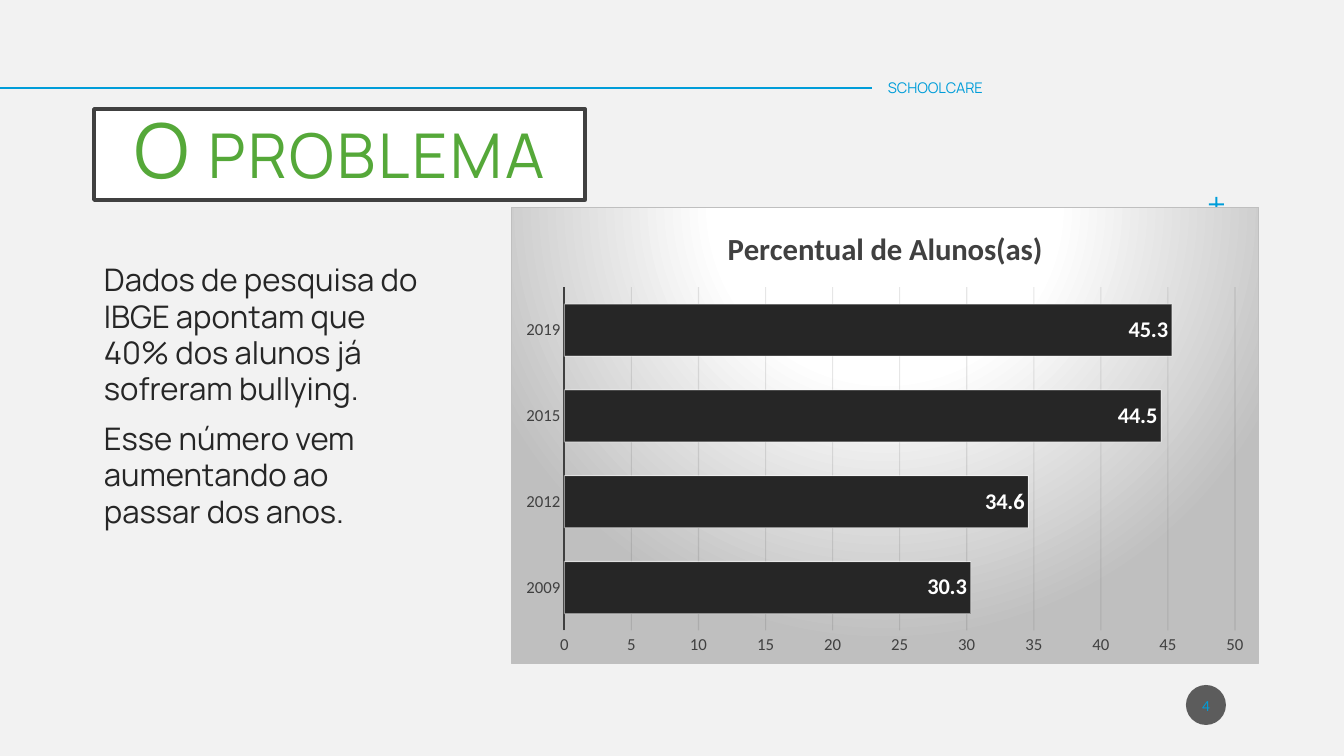
import pptx
import pptx.chart.data
import pptx.dml.color
import pptx.enum.chart
import pptx.enum.shapes
import pptx.enum.text
import pptx.oxml
import pptx.oxml.ns
import pptx.util
from dataclasses import dataclass


@dataclass(frozen=True)
class Theme:
    paper: str = "F2F2F2"
    white: str = "FFFFFF"
    silver: str = "BFBFBF"
    frame: str = "404040"
    ink: str = "262626"
    grid: str = "0D0D0D"
    badge: str = "1D1D1D"
    blue: str = "009DD9"
    green: str = "55A839"
    text_font: str = "Manrope"
    chart_font: str = "Calibri"
    initial_size: float = 54
    gap_size: float = 48.6
    title_size: float = 44.1
    body_size: float = 22.2
    brand_size: float = 10.5
    number_size: float = 11
    chart_title_size: float = 22
    axis_size: float = 12
    label_size: float = 16


theme = Theme()
PX = 12192000 / 1344
Pt = pptx.util.Pt
Rgb = pptx.dml.color.RGBColor.from_string
Anchor = pptx.enum.text.MSO_ANCHOR
Align = pptx.enum.text.PP_ALIGN
Shape = pptx.enum.shapes.MSO_SHAPE


def px(*lengths):
    return [round(length * PX) for length in lengths]


def style(font, size, color, name, bold=False):
    font.size, font.name, font.bold = Pt(size), name, bold
    font.color.rgb = Rgb(color)


deck = pptx.Presentation()
deck.slide_width, deck.slide_height = px(1344, 756)
page = deck.slides.add_slide(deck.slide_layouts[5])
page.background.fill.solid()
page.background.fill.fore_color.rgb = Rgb(theme.paper)

# Header rule and plus sign
rule = page.shapes.add_connector(
    pptx.enum.shapes.MSO_CONNECTOR.STRAIGHT, *px(0, 88, 872, 88))
rule.line.color.rgb = Rgb(theme.blue)
rule.line.width = Pt(2)
rule._element.spPr.append(pptx.oxml.parse_xml(
    f"<a:effectLst {pptx.oxml.ns.nsdecls('a')}/>"))

plus = page.shapes.add_shape(Shape.CROSS, *px(1209, 197, 15, 15))
plus.adjustments[0] = 0.43
plus.shadow.inherit = False
plus.fill.solid()
plus.fill.fore_color.rgb = Rgb(theme.blue)
plus.line.fill.background()

# Title
title = page.shapes.title
title.left, title.top, title.width, title.height = px(94, 109, 491, 91)
title.fill.solid()
title.fill.fore_color.rgb = Rgb(theme.white)
title.line.color.rgb = Rgb(theme.frame)
title.line.width = Pt(2.5)
title.text_frame.auto_size = pptx.enum.text.MSO_AUTO_SIZE.NONE
title.text_frame.vertical_anchor = Anchor.BOTTOM
para = title.text_frame.paragraphs[0]
para.alignment = Align.CENTER
para.line_spacing = 0.9
for words, size, color in (("O", theme.initial_size, theme.green),
                           (" ", theme.gap_size, theme.ink),
                           ("PROBLEMA", theme.title_size, theme.green)):
    span = para.add_run()
    span.text = words
    style(span.font, size, color, theme.text_font)
    span.font._element.set("spc", "200")

# Body text
body = page.shapes.add_textbox(*px(94, 258, 341, 315)).text_frame
body.word_wrap = True
for index, words in enumerate((
        "Dados de pesquisa do IBGE apontam que 40% dos alunos já sofreram bullying.",
        "Esse número vem aumentando ao passar dos anos.")):
    para = body.add_paragraph() if index else body.paragraphs[0]
    para.line_spacing = 0.97
    para.space_before = Pt(10)
    span = para.add_run()
    span.text = words
    style(span.font, theme.body_size, theme.ink, theme.text_font)

# Header name and page number
brand = page.shapes.add_textbox(*px(878, 68, 454, 40))
badge = page.shapes.add_shape(Shape.OVAL, *px(1186, 685, 40, 40))
badge.shadow.inherit = False
badge.fill.solid()
badge.fill.fore_color.rgb = Rgb(theme.badge)
badge.line.fill.background()
badge.text_frame.margin_left, badge.text_frame.margin_right = px(2, 2)
for box, words, size, font_name, alignment in (
        (brand, "SCHOOLCARE", theme.brand_size, theme.text_font, Align.LEFT),
        (badge, "4", theme.number_size, theme.chart_font, Align.CENTER)):
    box.text_frame.word_wrap = True
    box.text_frame.vertical_anchor = Anchor.MIDDLE
    para = box.text_frame.paragraphs[0]
    para.alignment = alignment
    span = para.add_run()
    span.text = words
    style(span.font, size, theme.blue, font_name)

# Chart
survey = pptx.chart.data.CategoryChartData()
survey.categories = ["2009", "2012", "2015", "2019"]
survey.add_series("Percentual de Alunos(as)", (30.3, 34.6, 44.5, 45.3))
chart = page.shapes.add_chart(
    pptx.enum.chart.XL_CHART_TYPE.BAR_CLUSTERED, *px(511, 207, 748, 457), survey).chart
style(chart.font, 10, "000000", theme.chart_font)
chart.has_legend = False
chart.has_title = True
span = chart.chart_title.text_frame.paragraphs[0].add_run()
span.text = "Percentual de Alunos(as)"
style(span.font, theme.chart_title_size, theme.frame, theme.chart_font, True)
chart.chart_title.include_in_layout = False

years, percent = chart.category_axis, chart.value_axis
for axis in (years, percent):
    axis.major_tick_mark = axis.minor_tick_mark = pptx.enum.chart.XL_TICK_MARK.NONE
    style(axis.tick_labels.font, theme.axis_size, theme.frame, theme.chart_font)
years.format.line.color.rgb = Rgb(theme.frame)
years.format.line.width = Pt(1.5)
percent.format.line.fill.background()
percent.minimum_scale, percent.maximum_scale, percent.major_unit = 0, 50, 5
percent.has_major_gridlines = True
grid = percent.major_gridlines.format.line
grid.color.rgb = Rgb(theme.grid)
grid.width = Pt(0.75)

plot = chart.plots[0]
plot.gap_width = 65
plot.vary_by_categories = False
bars = plot.series[0]
bars.format.fill.solid()
bars.format.fill.fore_color.rgb = Rgb(theme.ink)
bars.format.line.color.rgb = Rgb(theme.white)
bars.format.line.width = Pt(0.75)
labels = bars.data_labels
labels.show_value = True
labels.position = pptx.enum.chart.XL_LABEL_POSITION.INSIDE_END
style(labels.font, theme.label_size, theme.white, theme.chart_font, True)

# Transparency and the radial chart background
for holder, opacity in ((badge._element.spPr, 70),
                        (percent.major_gridlines._xAx.majorGridlines, 10),
                        (bars._element.spPr.ln, 50)):
    color = next(holder.iter(pptx.oxml.ns.qn("a:srgbClr")))
    color.append(pptx.oxml.parse_xml(
        f'<a:alpha {pptx.oxml.ns.nsdecls("a")} val="{opacity * 1000}"/>'))

stops = "".join(
    f'<a:gs pos="{place * 1000}"><a:srgbClr val="{tint}"/></a:gs>'
    for place, tint in ((0, theme.white), (39, theme.white), (100, theme.silver)))
chart._chartSpace.chart.addnext(pptx.oxml.parse_xml(
    f'<c:spPr {pptx.oxml.ns.nsdecls("c", "a")}>'
    f'<a:gradFill><a:gsLst>{stops}</a:gsLst><a:path path="circle">'
    '<a:fillToRect l="50000" t="-80000" r="50000" b="180000"/></a:path></a:gradFill>'
    f'<a:ln w="9525"><a:solidFill><a:srgbClr val="{theme.silver}"/></a:solidFill></a:ln>'
    '</c:spPr>'))

deck.save("out.pptx")
